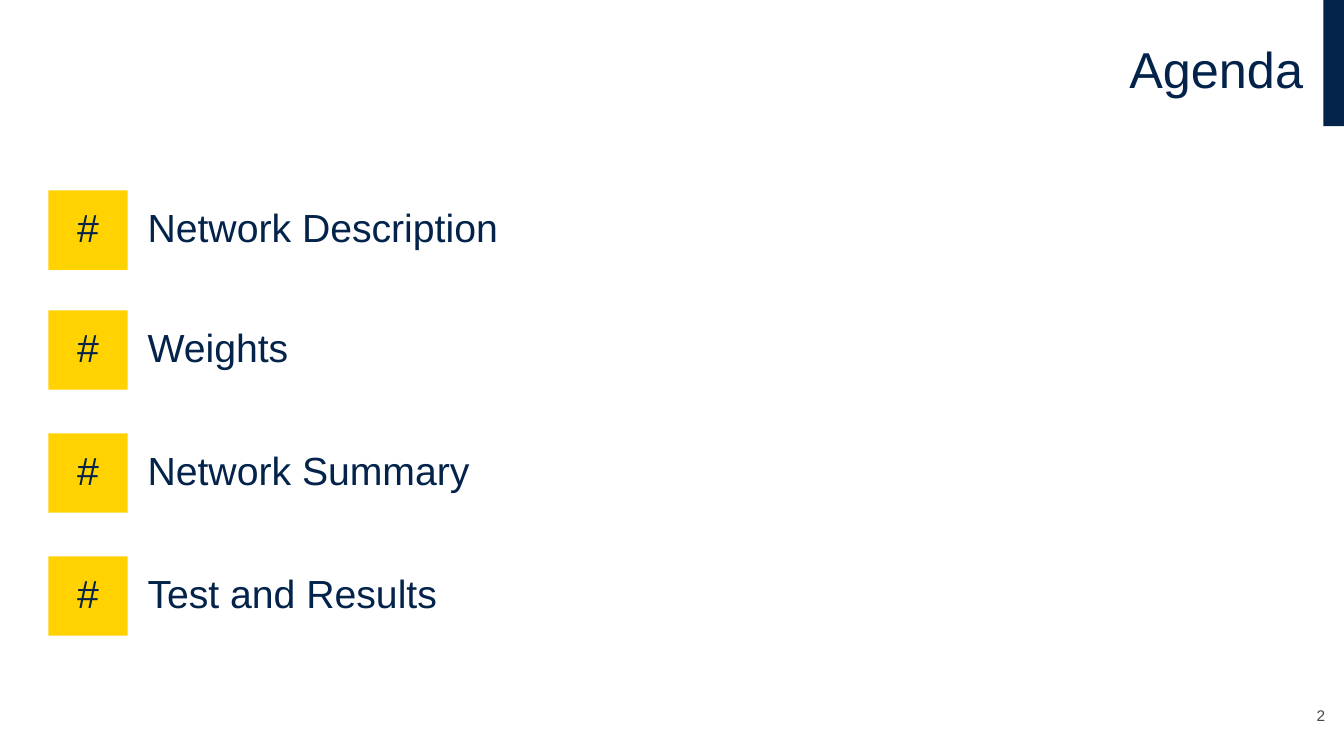
from pptx import Presentation
from pptx.dml.color import RGBColor
from pptx.enum.shapes import MSO_SHAPE
from pptx.enum.text import MSO_ANCHOR, PP_ALIGN
from pptx.util import Cm, Pt

COLORS = {"navy": "03234B", "yellow": "FFD200", "grey": "464650"}
AGENDA = {
    "Network Description": 4.8,
    "Weights": 7.82,
    "Network Summary": 10.92,
    "Test and Results": 14.02,
}
MARKER_SIZE = 2.0


class AgendaSlide:
    """Holds the style and the current slide, and draws its elements."""

    font = "Arial"

    def __init__(self, deck):
        self.slide = deck.slides.add_slide(deck.slide_layouts[5])

    def set_text(self, holder, text, size, color="navy", align=PP_ALIGN.LEFT,
                 anchor=MSO_ANCHOR.MIDDLE, insets=(0.25, 0.13), spacing=0.9, before=0):
        frame = holder.text_frame
        frame.text = text
        frame.word_wrap = True
        frame.vertical_anchor = anchor
        frame.margin_left = frame.margin_right = Cm(insets[0])
        frame.margin_top = frame.margin_bottom = Cm(insets[1])
        paragraph = frame.paragraphs[0]
        paragraph.alignment = align
        paragraph.line_spacing = spacing
        paragraph.space_before = Pt(before)
        font = paragraph.runs[0].font
        font.name = self.font
        font.size = Pt(size)
        font.color.rgb = RGBColor.from_string(COLORS[color])

    def title(self, text, left, top, width, height):
        heading = self.slide.shapes.title
        heading.left, heading.top = Cm(left), Cm(top)
        heading.width, heading.height = Cm(width), Cm(height)
        self.set_text(heading, text, 36, align=PP_ALIGN.RIGHT)

    def block(self, left, top, width, height, color):
        block = self.slide.shapes.add_shape(
            MSO_SHAPE.RECTANGLE, Cm(left), Cm(top), Cm(width), Cm(height))
        block.shadow.inherit = False
        block.fill.solid()
        block.fill.fore_color.rgb = RGBColor.from_string(COLORS[color])
        block.line.fill.background()
        return block

    def label(self, text, left, top, width, height, size, **style):
        box = self.slide.shapes.add_textbox(Cm(left), Cm(top), Cm(width), Cm(height))
        self.set_text(box, text, size, **style)

    def agenda_item(self, topic, top):
        marker = self.block(1.22, top, MARKER_SIZE, MARKER_SIZE, "yellow")
        self.set_text(marker, "#", 28, align=PP_ALIGN.CENTER, insets=(0, 0), before=10)
        self.label(topic, 3.47, top, 13.18, MARKER_SIZE, 28)


def main():
    deck = Presentation()
    deck.slide_width, deck.slide_height = Cm(33.87), Cm(19.05)
    agenda = AgendaSlide(deck)
    agenda.block(33.35, 0, 0.52, 3.18, "navy")
    agenda.title("Agenda", 0.84, 0, 32.25, 3.63)
    for topic, top in AGENDA.items():
        agenda.agenda_item(topic, top)
    agenda.label("2", 32.26, 17.58, 1.14, 0.81, 11, color="grey", align=PP_ALIGN.RIGHT,
                 anchor=MSO_ANCHOR.BOTTOM, insets=(0, 0.13), spacing=1.0)
    deck.save("out.pptx")


if __name__ == "__main__":
    main()
